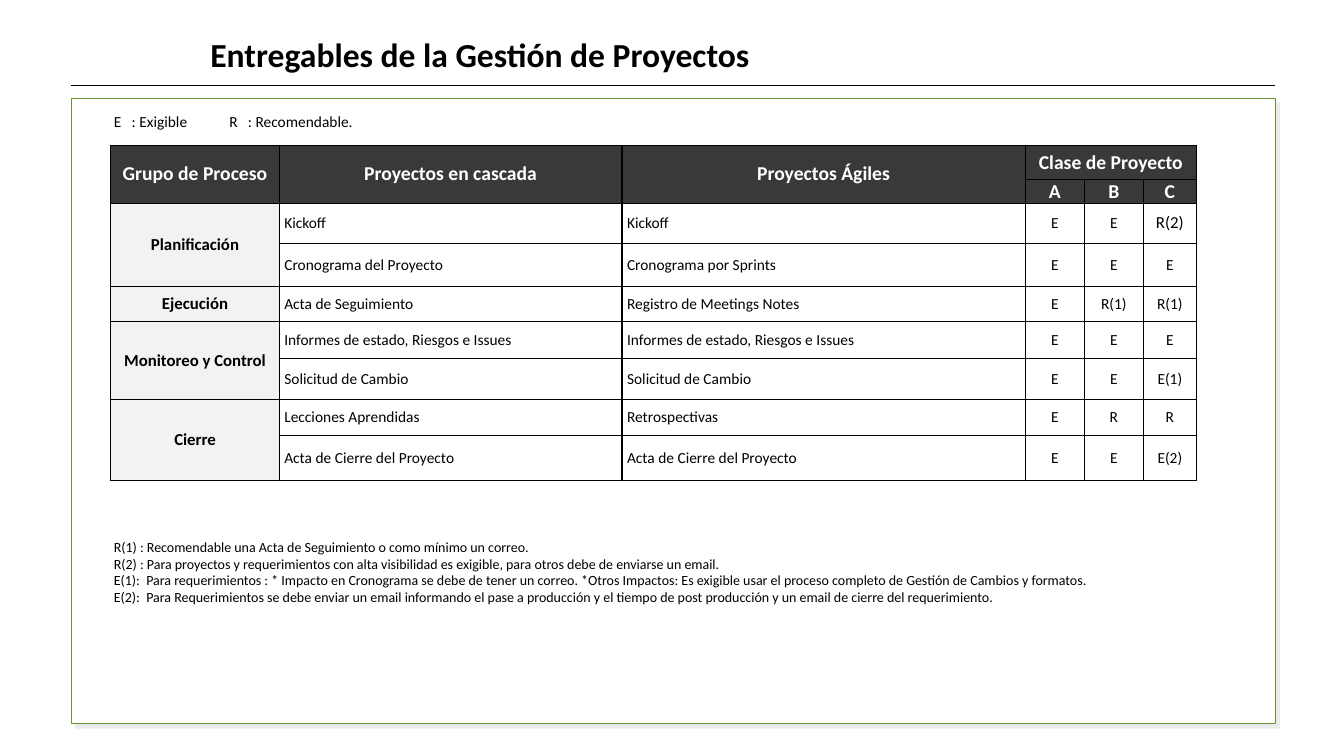
from dataclasses import dataclass

from lxml import etree
from pptx import Presentation
from pptx.dml.color import RGBColor
from pptx.enum.shapes import MSO_CONNECTOR, MSO_SHAPE
from pptx.enum.text import MSO_ANCHOR, MSO_AUTO_SIZE, PP_ALIGN
from pptx.oxml import parse_xml
from pptx.oxml.ns import qn
from pptx.util import Pt

LINE = MSO_CONNECTOR.STRAIGHT
PANEL = MSO_SHAPE.ROUND_2_SAME_RECTANGLE
MIDDLE = MSO_ANCHOR.MIDDLE
GROW = MSO_AUTO_SIZE.SHAPE_TO_FIT_TEXT
LEFT, CENTER = PP_ALIGN.LEFT, PP_ALIGN.CENTER
NS = 'xmlns:a="http://schemas.openxmlformats.org/drawingml/2006/main"'


@dataclass(frozen=True)
class Theme:
    face: str = "Calibri"
    ink: str = "000000"
    paper: str = "FFFFFF"
    green: str = "699331"
    dark: str = "3B3838"
    pale: str = "F2F2F2"
    title: float = 24
    head: float = 14
    group: float = 12
    body: float = 11
    note: float = 10


THEME = Theme()


def rgb(code):
    return RGBColor.from_string(code)


def apply(target, values):
    for name, value in values.items():
        setattr(target, name, value)


class Board:
    def __init__(self, slide, theme):
        self.slide, self.theme = slide, theme

    def label(self, para, text, size, color, bold=False, tabs=()):
        """Fill one paragraph; tabs are stops in points from the text edge."""
        para.text = text
        if tabs:
            stops = etree.SubElement(para._p.get_or_add_pPr(), qn("a:tabLst"))
            for stop in tabs:
                etree.SubElement(stops, qn("a:tab"), pos=str(Pt(stop)), algn="l")
        for run in para.runs:
            apply(run.font, {"name": self.theme.face, "size": Pt(size), "bold": bold})
            run.font.color.rgb = rgb(color)

    def panel(self, *box):
        shape = self.slide.shapes.add_shape(PANEL, *map(Pt, box))
        for i in range(2):
            shape.adjustments[i] = 0
        shape.rotation = 180
        shape.fill.solid()
        shape.fill.fore_color.rgb = rgb(self.theme.paper)
        shape.line.color.rgb = rgb(self.theme.green)
        shape.line.width = Pt(0.75)
        shape._element.spPr.append(parse_xml(
            f'<a:effectLst {NS}><a:outerShdw dist="{Pt(4.2)}" dir="2700000" '
            f'rotWithShape="0"><a:srgbClr val="{self.theme.ink}">'
            '<a:alpha val="8000"/></a:srgbClr></a:outerShdw></a:effectLst>'))

    def rule(self, *ends):
        line = self.slide.shapes.add_connector(LINE, *map(Pt, ends))
        line.line.color.rgb = rgb(self.theme.ink)
        line.line.width = Pt(0.5)
        etree.SubElement(line._element.spPr, qn("a:effectLst"))

    def text(self, box, lines, size, bold=False, tabs=()):
        frame = self.slide.shapes.add_textbox(*map(Pt, box)).text_frame
        apply(frame, {"word_wrap": True, "auto_size": GROW})
        for i, line in enumerate(lines):
            para = frame.add_paragraph() if i else frame.paragraphs[0]
            self.label(para, line, size, self.theme.ink, bold, tabs)

    def cell(self, cell, text, fill, align, size, color, bold):
        apply(cell, {"margin_left": Pt(3.6), "margin_right": Pt(3.6),
                     "margin_top": 0, "margin_bottom": 0,
                     "vertical_anchor": MIDDLE})
        for side in "LRTB":
            cell._tc.get_or_add_tcPr().append(parse_xml(
                f'<a:ln{side} {NS} w="{Pt(1)}"><a:solidFill>'
                f'<a:srgbClr val="{self.theme.ink}"/></a:solidFill></a:ln{side}>'))
        cell.fill.solid()
        cell.fill.fore_color.rgb = rgb(fill)
        para = cell.text_frame.paragraphs[0]
        para.alignment = align
        self.label(para, text, size, color, bold)

    def table(self, left, top, cols, rows, data, spans):
        """Draw the grid; spans hold first row, first column, last row, last column."""
        t = self.theme
        table = self.slide.shapes.add_table(
            len(rows), len(cols), Pt(left), Pt(top),
            Pt(sum(cols)), Pt(sum(rows))).table
        apply(table, {"first_row": False, "horz_banding": False})
        for col, width in zip(table.columns, cols):
            col.width = Pt(width)
        for row, height in zip(table.rows, rows):
            row.height = Pt(height)
        for r, line in enumerate(data):
            for c, text in enumerate(line):
                if r < 2:
                    look = t.dark, CENTER, t.head, t.paper, True
                elif c == 0:
                    look = t.pale, CENTER, t.group, t.ink, True
                else:
                    size = t.group if text == "R(2)" else t.body
                    look = t.paper, LEFT if c < 3 else CENTER, size, t.ink, False
                self.cell(table.cell(r, c), text, *look)
        for r, c, end, last in spans:
            table.cell(r, c).merge(table.cell(end, last))


COLS = [120.3, 244.8, 288, 42.5, 41.8, 38.2]
ROWS = [24.4, 16.9, 28.8, 30.9, 25, 26.5, 29, 25.9, 32]
DATA = [
    ["Grupo de Proceso", "Proyectos en cascada", "Proyectos Ágiles",
     "Clase de Proyecto", "", ""],
    ["", "", "", "A", "B", "C"],
    ["Planificación", "Kickoff", "Kickoff", "E", "E", "R(2)"],
    ["", "Cronograma del Proyecto", "Cronograma por Sprints", "E", "E", "E"],
    ["Ejecución", "Acta de Seguimiento", "Registro de Meetings Notes",
     "E", "R(1)", "R(1)"],
    ["Monitoreo y Control", "Informes de estado, Riesgos e Issues",
     "Informes de estado, Riesgos e Issues", "E", "E", "E"],
    ["", "Solicitud de Cambio", "Solicitud de Cambio", "E", "E", "E(1)"],
    ["Cierre", "Lecciones Aprendidas", "Retrospectivas", "E", "R", "R"],
    ["", "Acta de Cierre del Proyecto", "Acta de Cierre del Proyecto",
     "E", "E", "E(2)"],
]
SPANS = [(0, 3, 0, 5)]
SPANS += [(0, c, 1, c) for c in range(3)]
SPANS += [(r, 0, r + 1, 0) for r in (2, 5, 7)]
NOTES = [
    "R(1) : Recomendable una Acta de Seguimiento o como mínimo un correo.",
    "R(2) : Para proyectos y requerimientos con alta visibilidad es exigible, "
    "para otros debe de enviarse un email.",
    "E(1):\tPara requerimientos : * Impacto en Cronograma se debe de tener un "
    "correo. *Otros Impactos: Es exigible usar el proceso completo de Gestión "
    "de Cambios y formatos.",
    "E(2):\tPara Requerimientos se debe enviar un email informando el pase a "
    "producción y el tiempo de post producción y un email de cierre del "
    "requerimiento.",
]


def main():
    deck = Presentation()
    apply(deck, {"slide_width": Pt(960), "slide_height": Pt(540)})
    board = Board(deck.slides.add_slide(deck.slide_layouts[6]), THEME)
    board.panel(51.1, 70.5, 859.7, 446.6)
    board.rule(50.4, 61.2, 910.8, 61.2)
    board.text((143.2, 20.9, 568.8, 36), ["Entregables de la Gestión de Proyectos"],
               THEME.title, bold=True)
    board.text((74.2, 76.3, 470.2, 20.9), ["E\t: Exigible\tR\t: Recomendable."],
               THEME.body, tabs=(12.8, 82.6, 95.8))
    board.table(79.2, 103.8, COLS, ROWS, DATA, SPANS)
    board.text((74.2, 380.9, 829.4, 55.4), NOTES, THEME.note, tabs=(23.2,))
    deck.save("out.pptx")


if __name__ == "__main__":
    main()
